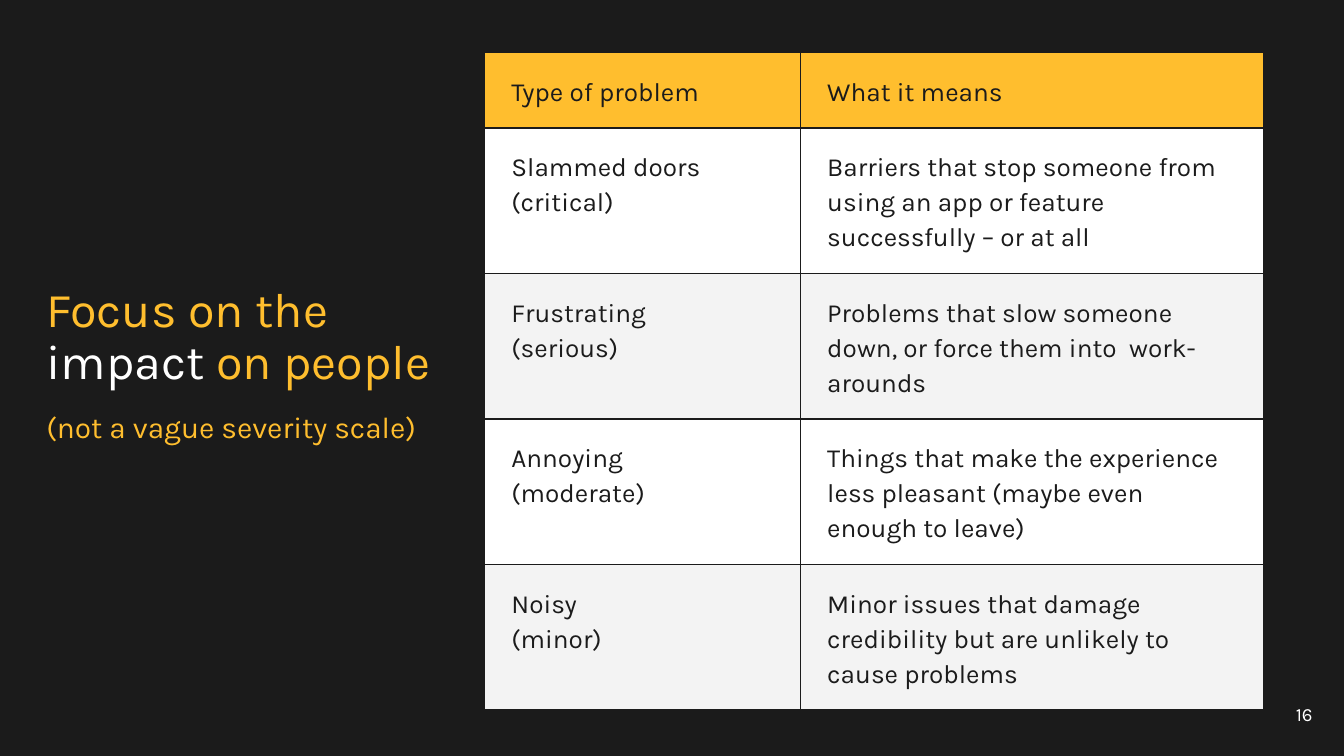
from copy import deepcopy
from dataclasses import dataclass

from lxml import etree
from pptx import Presentation
from pptx.dml.color import RGBColor
from pptx.enum.text import MSO_ANCHOR, MSO_AUTO_SIZE, PP_ALIGN
from pptx.oxml.ns import qn
from pptx.util import Inches, Pt

TOP, MIDDLE, BOTTOM = MSO_ANCHOR.TOP, MSO_ANCHOR.MIDDLE, MSO_ANCHOR.BOTTOM
LEFT, RIGHT = PP_ALIGN.LEFT, PP_ALIGN.RIGHT
NO_FIT = MSO_AUTO_SIZE.NONE

WIDTH = 10
HEIGHT = WIDTH * 9 / 16
FONT = "Karla"
COLORS = {
    "dark": "1B1B1B",
    "yellow": "FFBE2E",
    "white": "FFFFFF",
    "gray": "F3F3F3",
}
COLUMN_WIDTHS = (2.35, 3.45)
HEADER_HEIGHT, ROW_HEIGHT = 0.56, 1.08
BORDER_WIDTH = 0.75


@dataclass
class Box:
    """Percentages of the slide's width and height."""
    left: float
    top: float
    width: float
    height: float

    def place(self) -> dict:
        return {
            "left": Inches(self.left * WIDTH / 100),
            "top": Inches(self.top * HEIGHT / 100),
            "width": Inches(self.width * WIDTH / 100),
            "height": Inches(self.height * HEIGHT / 100),
        }


@dataclass
class Span:
    text: str
    size: float
    color: str


@dataclass
class Problem:
    kind: str
    meaning: str


TITLE_BOX = Box(2.45, 32.55, 34.4, 27.2)
TABLE_BOX = Box(36.05, 6.97, 58, 86.8)
NUMBER_BOX = Box(92.65, 90.67, 6, 7.65)

HEADER = Problem("Type of problem", "What it means")
PROBLEMS = [
    Problem("Slammed doors\n(critical)",
            "Barriers that stop someone from using an app or feature "
            "successfully – or at all"),
    Problem("Frustrating\n(serious)",
            "Problems that slow someone down, or force them into  work-arounds"),
    Problem("Annoying\n(moderate)",
            "Things that make the experience less pleasant "
            "(maybe even enough to leave)"),
    Problem("Noisy\n(minor)",
            "Minor issues that damage credibility but are unlikely to "
            "cause problems"),
]


def rgb(name: str) -> RGBColor:
    return RGBColor.from_string(COLORS[name])


def apply(target, **formats) -> None:
    for name, value in formats.items():
        setattr(target, name, value)


def margins(x: float, y: float) -> dict:
    return {
        "margin_left": Inches(x), "margin_right": Inches(x),
        "margin_top": Inches(y), "margin_bottom": Inches(y),
    }


def write(p, spans: list[Span], **formats) -> None:
    apply(p, **formats)
    for span in spans:
        for i, line in enumerate(span.text.split("\n")):
            if i:
                p.add_line_break()
            if line:
                r = p.add_run()
                r.text = line
                apply(r.font, name=FONT, size=Pt(span.size))
                r.font.color.rgb = rgb(span.color)
    for br in p._p.findall(qn("a:br")):
        br.append(deepcopy(p.runs[0].font._rPr))


def add_borders(cell, color: str) -> None:
    tcPr = cell._tc.get_or_add_tcPr()
    for side in ("lnL", "lnR", "lnT", "lnB"):
        ln = etree.SubElement(tcPr, qn(f"a:{side}"), w=str(Pt(BORDER_WIDTH)))
        fill = etree.SubElement(ln, qn("a:solidFill"))
        etree.SubElement(fill, qn("a:srgbClr"), val=COLORS[color])


def fill_cell(cell, text: str, fill: str, anchor) -> None:
    apply(cell, vertical_anchor=anchor, **margins(0.2, 0.15))
    add_borders(cell, "dark")
    cell.fill.solid()
    cell.fill.fore_color.rgb = rgb(fill)
    write(cell.text_frame.paragraphs[0], [Span(text, 14, "dark")],
          line_spacing=1.15)


def add_title(s) -> None:
    sp = s.shapes.title
    apply(sp, **TITLE_BOX.place())
    tf = sp.text_frame
    apply(tf, word_wrap=True, auto_size=NO_FIT, vertical_anchor=BOTTOM,
          **margins(0.1, 0.05))
    write(tf.paragraphs[0], [
        Span("Focus on the \n", 26, "yellow"),
        Span("impact", 26, "white"),
        Span(" on people", 26, "yellow"),
    ], alignment=LEFT, line_spacing=0.9, space_before=Pt(0))
    write(tf.add_paragraph(), [Span("(not a vague severity scale)", 16, "yellow")],
          alignment=LEFT, line_spacing=1.0, space_before=Pt(10))


def add_problem_table(s) -> None:
    rows = [HEADER, *PROBLEMS]
    table = s.shapes.add_table(len(rows), len(COLUMN_WIDTHS),
                               **TABLE_BOX.place()).table
    apply(table, first_row=True, horz_banding=False)
    for column, width in zip(table.columns, COLUMN_WIDTHS):
        column.width = Inches(width)
    for i, problem in enumerate(rows):
        table.rows[i].height = Inches(ROW_HEIGHT if i else HEADER_HEIGHT)
        fill = ("gray", "white")[i % 2] if i else "yellow"
        for j, text in enumerate((problem.kind, problem.meaning)):
            fill_cell(table.cell(i, j), text, fill, TOP if i else MIDDLE)


def add_page_number(s, number: int) -> None:
    tf = s.shapes.add_textbox(**NUMBER_BOX.place()).text_frame
    apply(tf, word_wrap=True, vertical_anchor=MIDDLE, **margins(0.1, 0.1))
    write(tf.paragraphs[0], [Span(str(number), 10, "white")], alignment=RIGHT)


def main() -> None:
    prs = Presentation()
    apply(prs, slide_width=Inches(WIDTH), slide_height=Inches(HEIGHT))
    s = prs.slides.add_slide(prs.slide_layouts[5])
    s.background.fill.solid()
    s.background.fill.fore_color.rgb = rgb("dark")
    add_title(s)
    add_problem_table(s)
    add_page_number(s, 16)
    prs.save("out.pptx")


if __name__ == "__main__":
    main()
